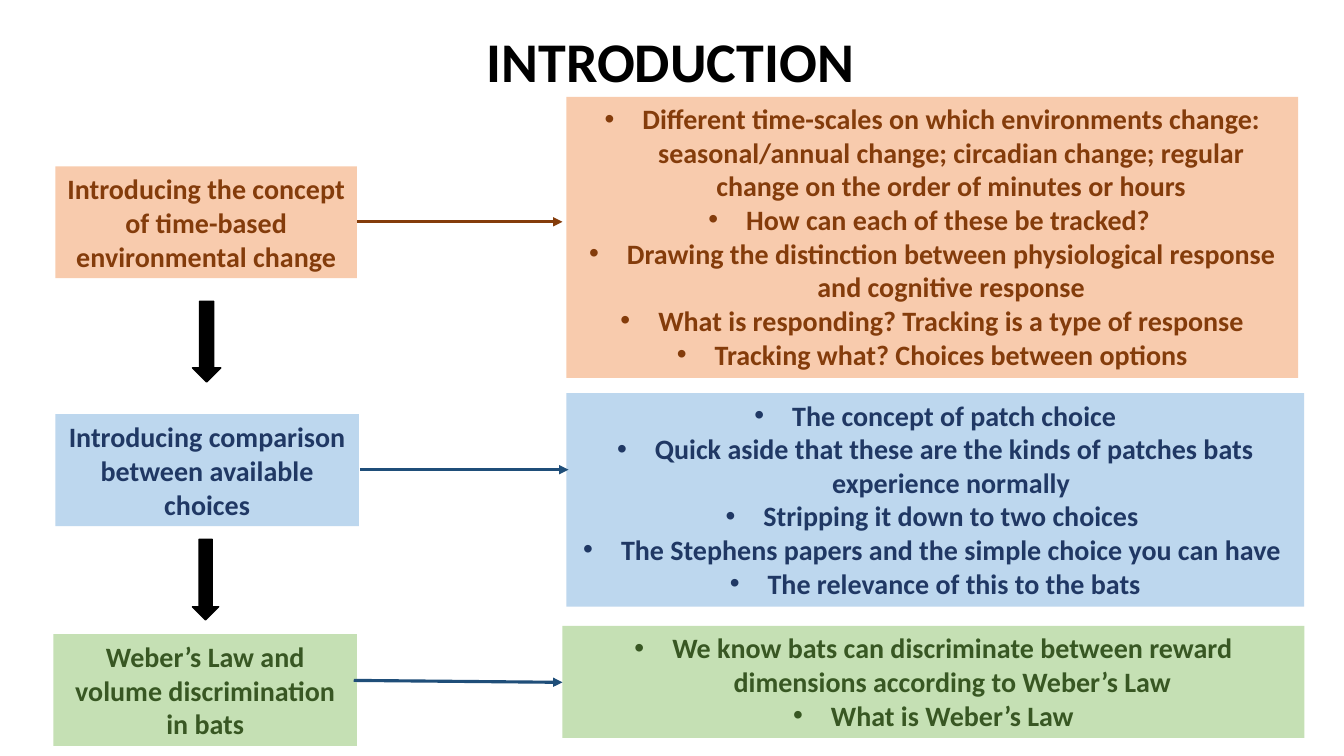
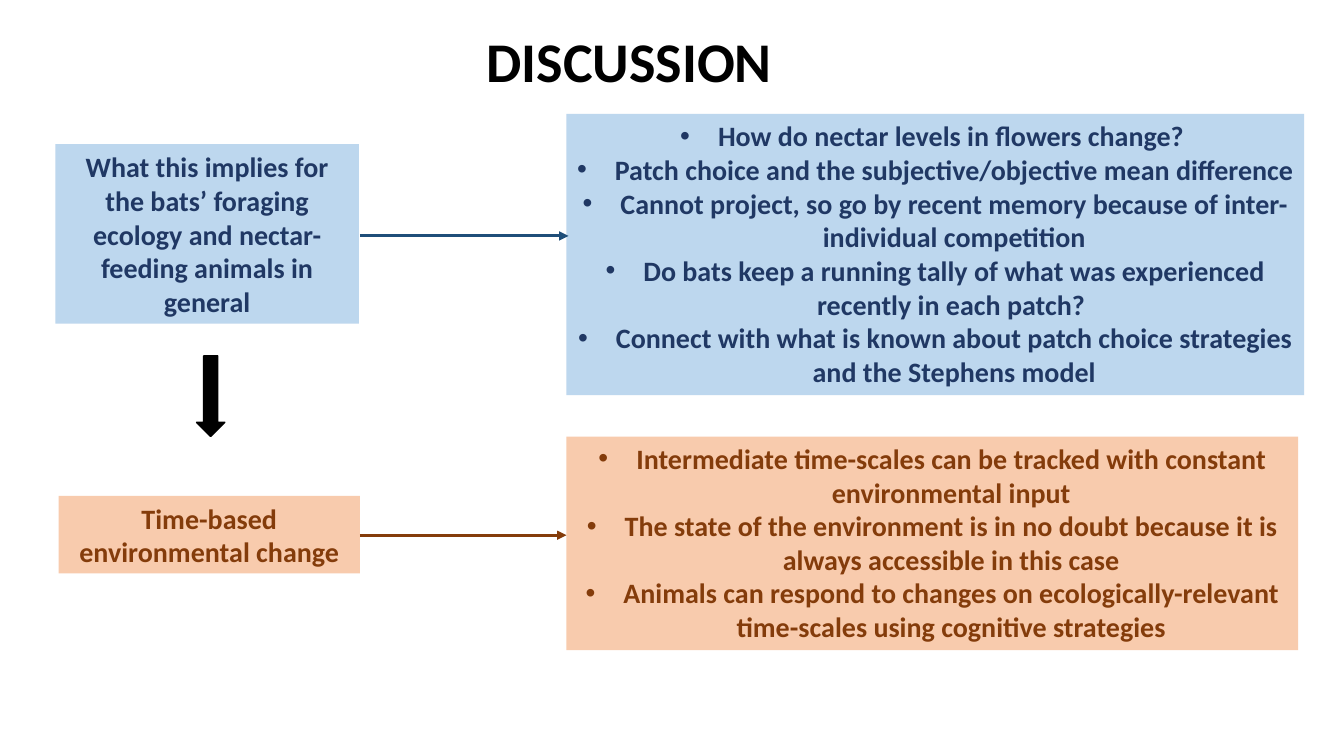
from collections import namedtuple

from lxml import etree
from pptx import Presentation
from pptx.dml.color import RGBColor
from pptx.enum.shapes import MSO_CONNECTOR, MSO_SHAPE
from pptx.enum.text import MSO_ANCHOR, MSO_AUTO_SIZE, PP_ALIGN
from pptx.oxml.ns import qn
from pptx.util import Pt

STRAIGHT = MSO_CONNECTOR.STRAIGHT
RECTANGLE, DOWN_ARROW = MSO_SHAPE.RECTANGLE, MSO_SHAPE.DOWN_ARROW
CENTER, LEFT = PP_ALIGN.CENTER, PP_ALIGN.LEFT
MIDDLE, TOP = MSO_ANCHOR.MIDDLE, MSO_ANCHOR.TOP
GROW = MSO_AUTO_SIZE.SHAPE_TO_FIT_TEXT

BLACK = RGBColor(0x00, 0x00, 0x00)
PALE_ORANGE = RGBColor(0xF8, 0xCB, 0xAD)
BROWN = RGBColor(0x84, 0x3C, 0x0B)
PALE_BLUE = RGBColor(0xBD, 0xD7, 0xEE)
NAVY = RGBColor(0x20, 0x38, 0x64)
STEEL_BLUE = RGBColor(0x1F, 0x4E, 0x79)
PALE_GREEN = RGBColor(0xC5, 0xE0, 0xB4)
DARK_GREEN = RGBColor(0x38, 0x57, 0x23)

Theme = namedtuple("Theme", "fill text link")
ORANGE = Theme(PALE_ORANGE, BROWN, BROWN)
BLUE = Theme(PALE_BLUE, NAVY, STEEL_BLUE)
GREEN = Theme(PALE_GREEN, DARK_GREEN, STEEL_BLUE)

TITLE_FONT = {"name": "Calibri", "size": Pt(40), "bold": True}
BODY_FONT = {"name": "Calibri", "size": Pt(20), "bold": True}
BULLET_INDENT = Pt(27)
LINK_WIDTH = Pt(2.25)
STEP_HEIGHT = 57.6

Stage = namedtuple("Stage", "theme topic topic_box points points_box link")

INTRODUCTION = [
    Stage(ORANGE, "Introducing the concept of time-based environmental change",
          (39.6, 118.8, 215.3, 80),
          ["Different time-scales on which environments change: seasonal/annual "
           "change; circadian change; regular change on the order of minutes or hours",
           "How can each of these be tracked? ",
           "Drawing the distinction between physiological response and cognitive response",
           "What is responding? Tracking is a type of response",
           "Tracking what? Choices between options"],
          (404.6, 69.1, 522.7, 200.9), (254.9, 158.4, 401.8, 158.4)),
    Stage(BLUE, "Introducing comparison between available choices",
          (39.6, 295.9, 216.7, 80),
          ["The concept of patch choice",
           "Quick aside that these are the kinds of patches bats experience normally ",
           "Stripping it down to two choices ",
           "The Stephens papers and the simple choice you can have ",
           "The relevance of this to the bats"],
          (404.6, 280.8, 527, 152.6), (257, 335.5, 406.1, 335.5)),
    Stage(GREEN, "Weber’s Law and volume discrimination in bats",
          (38.2, 452.9, 216.7, 80),
          ["We know bats can discriminate between reward dimensions according to "
           "Weber’s Law",
           "What is Weber’s Law"],
          (401.8, 447.1, 529.9, 80), (252.7, 486, 401.8, 487.4)),
]

DISCUSSION = [
    Stage(BLUE, "What this implies for the bats’ foraging ecology and "
          "nectar-feeding animals in general",
          (39.6, 103, 216.7, 128.2),
          ["How do nectar levels in flowers change? ",
           "Patch choice and the subjective/objective mean difference",
           "Cannot project, so go by recent memory because of inter-individual competition",
           "Do bats keep a running tally of what was experienced recently in each patch? ",
           "Connect with what is known about patch choice strategies and the Stephens model"],
          (404.6, 81.4, 527, 200.9), (257, 168.5, 406.1, 168.5)),
    Stage(ORANGE, "Time-based environmental change",
          (41.8, 354.2, 215.3, 55.4),
          ["Intermediate time-scales can be tracked with constant environmental input",
           "The state of the environment is in no doubt because it is always "
           "accessible in this case",
           "Animals can respond to changes on ecologically-relevant time-scales "
           "using cognitive strategies"],
          (404.6, 311.8, 522.7, 152.6), (257, 382.3, 404.6, 382.3)),
]

SLIDES = [
    ("INTRODUCTION", 279.4, INTRODUCTION, [(137.5, 215.3, 20.2), (137.5, 385.2, 18.7)]),
    ("DISCUSSION", 220.3, DISCUSSION, [(140.4, 254.2, 20.2)]),
]


def in_points(lengths):
    return [Pt(length) for length in lengths]


def set_values(target, values):
    for name, value in values.items():
        setattr(target, name, value)


def add_bullet(paragraph):
    properties = paragraph._p.get_or_add_pPr()
    properties.set("marL", str(BULLET_INDENT))
    properties.set("indent", str(-BULLET_INDENT))
    etree.SubElement(properties, qn("a:buFont"), typeface="Arial")
    etree.SubElement(properties, qn("a:buChar"), char="•")


def write_lines(frame, lines, font, color, alignment, bulleted=False):
    for index, line in enumerate(lines):
        paragraph = frame.paragraphs[0] if index == 0 else frame.add_paragraph()
        paragraph.alignment = alignment
        if bulleted:
            add_bullet(paragraph)
        run = paragraph.add_run()
        run.text = line
        set_values(run.font, font)
        run.font.color.rgb = color


def add_title(slide, title, width):
    box = slide.shapes.add_textbox(*in_points((340.6, 15.1, width, 55.4)))
    set_values(box.text_frame, {"word_wrap": False, "auto_size": GROW,
                                "vertical_anchor": TOP})
    write_lines(box.text_frame, [title], TITLE_FONT, BLACK, LEFT)


def add_filled_shape(slide, kind, bounds, color):
    shape = slide.shapes.add_shape(kind, *in_points(bounds))
    shape.shadow.inherit = False
    shape.fill.solid()
    shape.fill.fore_color.rgb = color
    return shape


def add_panel(slide, bounds, theme, lines, bulleted=False):
    panel = add_filled_shape(slide, RECTANGLE, bounds, theme.fill)
    panel.line.fill.background()
    set_values(panel.text_frame, {"word_wrap": True, "auto_size": GROW,
                                  "vertical_anchor": MIDDLE if not bulleted else TOP})
    write_lines(panel.text_frame, lines, BODY_FONT, theme.text, CENTER, bulleted)


def add_step_arrow(slide, left, top, width):
    arrow = add_filled_shape(slide, DOWN_ARROW, (left, top, width, STEP_HEIGHT), BLACK)
    arrow.line.color.rgb = BLACK
    arrow.line.width = Pt(1)


def add_link(slide, ends, color):
    link = slide.shapes.add_connector(STRAIGHT, *in_points(ends))
    link.line.color.rgb = color
    link.line.width = LINK_WIDTH
    etree.SubElement(link.line._get_or_add_ln(), qn("a:tailEnd"), type="triangle")
    etree.SubElement(link._element.spPr, qn("a:effectLst"))


def add_stage(slide, stage):
    add_panel(slide, stage.topic_box, stage.theme, [stage.topic])
    add_panel(slide, stage.points_box, stage.theme, stage.points, bulleted=True)
    add_link(slide, stage.link, stage.theme.link)


def main():
    deck = Presentation()
    set_values(deck, {"slide_width": Pt(960), "slide_height": Pt(540)})
    blank = deck.slide_layouts[6]
    for title, title_width, stages, steps in SLIDES:
        slide = deck.slides.add_slide(blank)
        add_title(slide, title, title_width)
        for stage in stages:
            add_stage(slide, stage)
        for step in steps:
            add_step_arrow(slide, *step)
    deck.save("out.pptx")


main()
